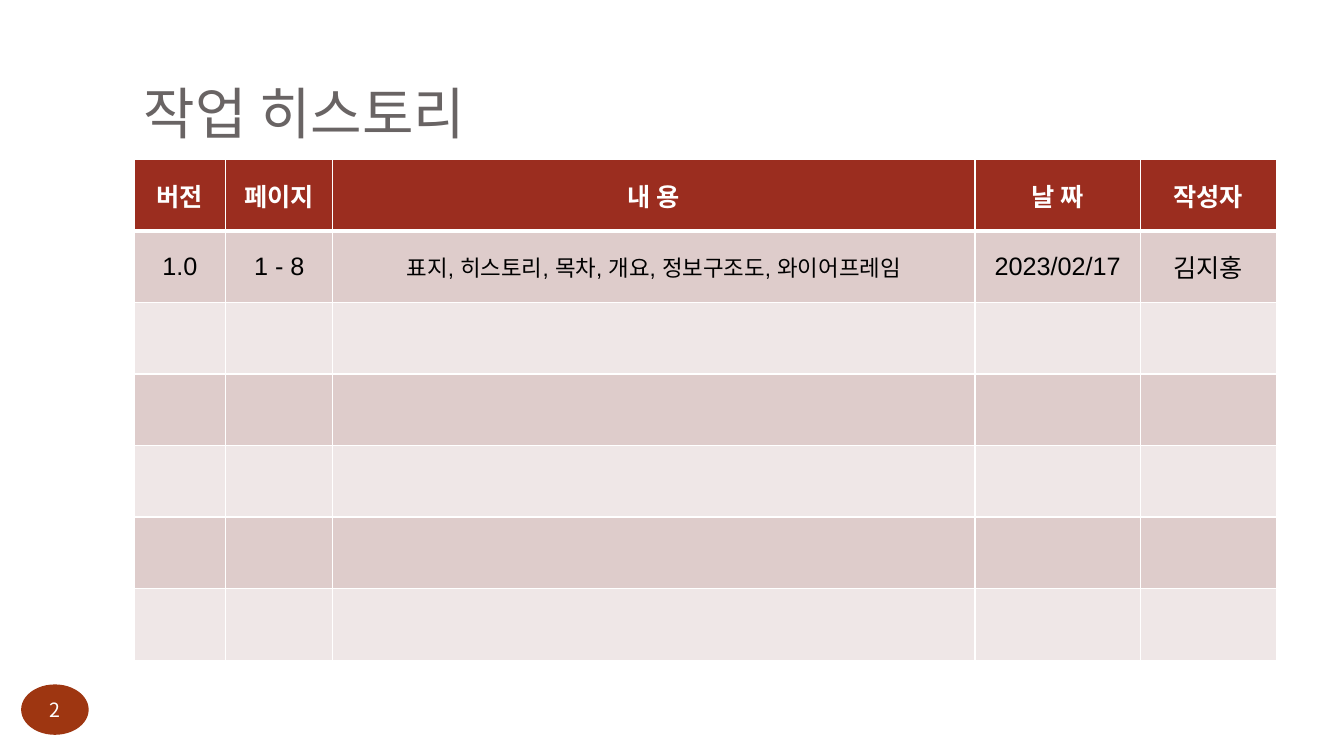
from lxml import etree
from pptx import Presentation
from pptx.dml.color import RGBColor
from pptx.enum.shapes import MSO_SHAPE
from pptx.enum.text import MSO_ANCHOR, PP_ALIGN
from pptx.oxml.ns import qn
from pptx.util import Inches, Pt

TITLE = "작업 히스토리"
PAGE_NUMBER = "2"
HEADER = ["버전", "페이지", "내 용", "날 짜", "작성자"]
HISTORY = [
    ["1.0", "1 - 8", "표지, 히스토리, 목차, 개요, 정보구조도, 와이어프레임",
     "2023/02/17", "김지홍"],
]
EMPTY_ROWS = 5
COLUMN_WIDTHS = [0.91, 1.06, 6.37, 1.64, 1.35]
ROW_HEIGHT = 0.71
CONTENT_COLUMN = 2

LATIN, KOREAN = "Arial", "Noto Sans CJK KR"
WHITE, BLACK, GREY = "FFFFFF", "000000", "696464"
HEADER_FILL, BADGE_FILL = "9B2D1F", "9E3611"
BAND_FILLS = ["DECCCB", "EFE7E7"]


def color(hex_string):
    return RGBColor.from_string(hex_string)


def add_text(frame, text, size, font_name, hex_string, bold=False, align=PP_ALIGN.LEFT):
    paragraph = frame.paragraphs[0]
    paragraph.alignment = align
    run = paragraph.add_run()
    run.text = text
    font = run.font
    font.size, font.name, font.bold = Pt(size), font_name, bold
    font.color.rgb = color(hex_string)
    east_asian = etree.SubElement(run._r.get_or_add_rPr(), qn("a:ea"))
    east_asian.set("typeface", KOREAN)


def set_margins(frame, left, top, right, bottom):
    frame.margin_left, frame.margin_top = Inches(left), Inches(top)
    frame.margin_right, frame.margin_bottom = Inches(right), Inches(bottom)


def add_borders(cell, top, bottom):
    """Give the cell white borders; top and bottom are widths in points."""
    properties = cell._tc.get_or_add_tcPr()
    for side, width in (("L", 1), ("R", 1), ("T", top), ("B", bottom)):
        line = etree.SubElement(properties, qn("a:ln" + side), w=str(Pt(width)))
        fill = etree.SubElement(line, qn("a:solidFill"))
        etree.SubElement(fill, qn("a:srgbClr"), val=WHITE)


def add_title(slide):
    box = slide.shapes.add_textbox(Inches(1.33), Inches(0.3), Inches(11.33), Inches(1.25))
    frame = box.text_frame
    frame.word_wrap = True
    frame.vertical_anchor = MSO_ANCHOR.BOTTOM
    set_margins(frame, 0.1, 0.05, 0.1, 0.1)
    add_text(frame, TITLE, 40, KOREAN, GREY)


def add_history_table(slide):
    rows = [HEADER] + HISTORY + [[""] * len(HEADER)] * EMPTY_ROWS
    table = slide.shapes.add_table(
        len(rows), len(HEADER), Inches(1.33), Inches(1.58),
        Inches(sum(COLUMN_WIDTHS)), Inches(ROW_HEIGHT * len(rows))).table
    for column, width in zip(table.columns, COLUMN_WIDTHS):
        column.width = Inches(width)
    for r, texts in enumerate(rows):
        table.rows[r].height = Inches(ROW_HEIGHT)
        is_header = r == 0
        for c, text in enumerate(texts):
            cell = table.cell(r, c)
            cell.vertical_anchor = MSO_ANCHOR.MIDDLE
            add_borders(cell, top=3 if r == 1 else 1, bottom=3 if is_header else 1)
            cell.fill.solid()
            cell.fill.fore_color.rgb = color(HEADER_FILL if is_header else BAND_FILLS[(r - 1) % 2])
            if text:
                size = 16 if c == CONTENT_COLUMN and not is_header else 18
                add_text(cell.text_frame, text, size, LATIN,
                         WHITE if is_header else BLACK, is_header, PP_ALIGN.CENTER)


def add_page_badge(slide):
    badge = slide.shapes.add_shape(
        MSO_SHAPE.OVAL, Inches(0.21), Inches(6.79), Inches(0.67), Inches(0.5))
    badge.shadow.inherit = False
    badge.fill.solid()
    badge.fill.fore_color.rgb = color(BADGE_FILL)
    badge.line.fill.background()
    frame = badge.text_frame
    frame.vertical_anchor = MSO_ANCHOR.MIDDLE
    set_margins(frame, 0, 0, 0, 0)
    add_text(frame, PAGE_NUMBER, 14, KOREAN, WHITE, align=PP_ALIGN.CENTER)


def main():
    presentation = Presentation()
    presentation.slide_width, presentation.slide_height = Inches(13.33), Inches(7.5)
    slide = presentation.slides.add_slide(presentation.slide_layouts[6])
    add_title(slide)
    add_history_table(slide)
    add_page_badge(slide)
    presentation.save("out.pptx")


if __name__ == "__main__":
    main()
